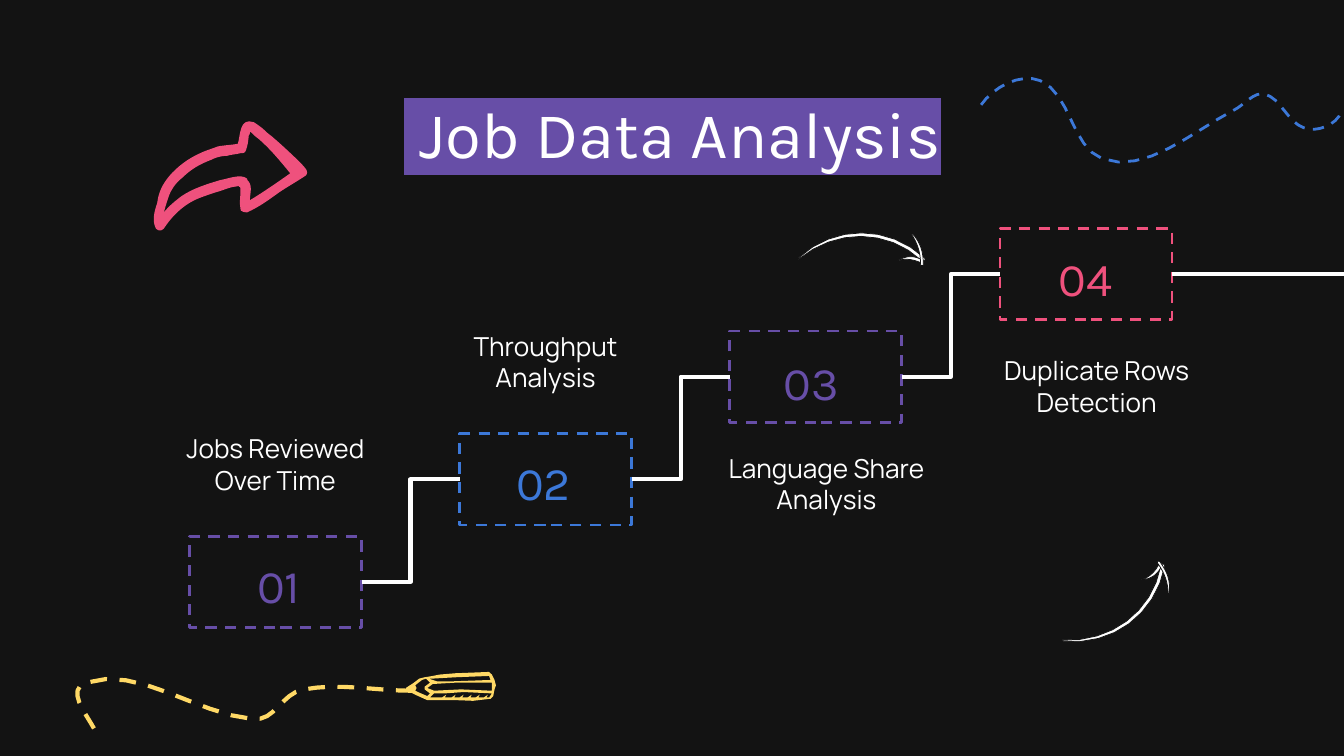
import math

from lxml import etree
from pptx import Presentation, util as u
from pptx.dml.color import RGBColor
from pptx.enum import dml, shapes, text
from pptx.oxml.ns import qn

# Grid: 1000 columns by 562.5 rows of equal size; boxes are (column, row, columns, rows).
COLUMNS, ROWS = 1000, 562.5
CELL = u.Inches(10) // COLUMNS
COLOURS = {"night": "131313", "purple": "674EA7", "blue": "3C78D8",
           "pink": "EF517D", "yellow": "FFD966", "white": "FFFFFF"}

# Curves: a start point, then Bezier triples, in cells from the corner of their box.
SWOOSH = [
    [(83, 9), (80, 6), (77, 4), (74, 2), (63, -2), (64, 12), (62, 18),
     (57, 19), (52, 19), (47, 20), (42, 22), (38, 23), (34, 25),
     (25, 29), (17, 35), (11, 42), (6, 48), (3, 54), (2, 62),
     (0, 68), (-2, 75), (1, 81), (3, 83), (5, 83), (7, 81),
     (11, 75), (16, 69), (23, 64), (30, 59), (37, 57), (46, 54),
     (50, 53), (54, 51), (59, 50), (61, 50), (63, 49), (63, 50),
     (64, 50), (64, 51), (64, 53), (64, 57), (63, 62), (64, 66),
     (64, 67), (64, 68), (65, 68), (66, 69), (68, 69), (69, 69),
     (78, 65), (86, 59), (93, 54), (99, 50), (106, 46), (112, 42),
     (114, 41), (114, 38), (112, 36), (111, 34), (95, 19), (89, 14),
     (87, 12), (85, 11), (83, 9)],
    [(77, 14), (86, 21), (101, 40), (101, 40), (91, 47), (81, 54), (71, 60),
     (71, 55), (73, 50), (70, 46), (69, 45), (69, 45), (69, 44),
     (64, 40), (55, 44), (49, 45), (39, 48), (29, 51), (20, 57),
     (15, 61), (11, 64), (7, 69), (8, 65), (9, 62), (10, 59),
     (12, 52), (16, 47), (21, 43), (27, 37), (34, 33), (42, 30),
     (46, 28), (50, 27), (54, 27), (57, 26), (60, 26), (64, 25),
     (66, 25), (67, 25), (68, 23), (69, 20), (70, 16), (70, 12),
     (71, 11), (71, 10), (71, 9), (73, 10), (74, 12), (77, 14)]]
BLUE_WAVE = [(0, 20), (9, 7), (29, -4), (44, 2), (67, 12), (67, 51), (90, 60),
             (122, 72), (157, 40), (188, 24), (196, 20), (203, 10), (211, 12),
             (223, 15), (228, 33), (240, 37), (249, 41), (265, 35), (268, 25)]
PENCIL_TRAIL = [(12, 34), (6, 23), (-9, 5), (6, 0), (45, -13), (87, 23), (130, 27),
                (147, 29), (151, 8), (168, 5), (194, 0), (222, 6), (249, 6)]
THIN_ARROW = [
    [(0, 0), (27, -25), (67, -25), (94, 0), (95, 2), (93, 3), (92, 2),
     (66, -22), (28, -22), (0, 1)],
    [(74, 2), (80, -2), (87, -2), (93, 2), (94, 3), (93, 4), (92, 4),
     (86, 1), (80, 0), (74, 2)],
    [(91, 5), (91, -5), (88, -12), (84, -18), (84, -18), (85, -19), (85, -18),
     (91, -11), (93, -5), (93, 5), (93, 6), (91, 6), (91, 5)]]

# Pencil outlines are plain polygons: the silhouette, then the gaps inside it.
SHADING = [point for x in (57, 51, 45, 39, 33, 26)
           for point in ((x + 3, 19), (x + 4, 17), (x + 1, 19))]
PENCIL = [
    [(0, 12), (6, 8), (10, 5), (14, 4), (20, 3), (25, 2), (37, 1), (62, 0), (64, 2),
     (66, 6), (67, 10), (66, 13), (65, 18), (63, 20), (50, 21.5), (37, 21), (16, 21),
     (7, 17), (3, 15), (0, 13)],
    [(7, 10), (8, 12), (7, 14), (9, 15), (16, 18), (18, 16), (14, 13), (14, 11),
     (18, 8), (15, 5), (12, 6)],
    [(17, 5), (23, 7), (35, 7), (63, 6), (62, 3), (37, 4), (20, 5)],
    [(16, 12), (21, 14), (41, 13), (64, 14), (64, 8), (37, 8), (20, 9)],
    [(18, 19), (21, 16), (29, 16), (43, 15), (64, 16), (62, 19)] + SHADING]

# Number, caption, colour, then offsets of number and caption from the step's box.
STEPS = [
    ("01", "Jobs Reviewed Over Time", "purple", (23, 5), (-28, -87)),
    ("02", "Throughput Analysis", "blue", (19, 5), (-28, -87)),
    ("03", "Language Share Analysis", "purple", (17, 7), (-20, 80)),
    ("04", "Duplicate Rows Detection", "pink", (20, 6), (-20, 84))]


def colour(name):
    return RGBColor.from_string(COLOURS[name])


def cells(*counts):
    return [u.Emu(round(count * CELL)) for count in counts]


def set_line(line, name, points, dashed=False):
    line.color.rgb, line.width = colour(name), u.Pt(points)
    if dashed:
        line.dash_style = dml.MSO_LINE.DASH


def bezier(points, parts=8):
    """Sample a chain of cubic Bezier segments."""
    curve = [points[0]]
    for i in range(0, len(points) - 1, 3):
        for t in (n / parts for n in range(1, parts + 1)):
            weights = ((1 - t) ** 3, 3 * t * (1 - t) ** 2, 3 * t * t * (1 - t), t ** 3)
            curve.append(tuple(sum(w * p[axis] for w, p in zip(weights, points[i:i + 4]))
                               for axis in (0, 1)))
    return curve


def add_outline(slide, box, contours, fill=None):
    """Draw contours from the box's corner, closed when they are filled."""
    placed = [[cells(box[0] + x, box[1] + y) for x, y in contour] for contour in contours]
    builder = slide.shapes.build_freeform(*placed[0][0], scale=1.0)
    for i, contour in enumerate(placed):
        if i:
            builder.move_to(*contour[0])
        builder.add_line_segments(contour[1:], close=fill is not None)
    drawing = builder.convert_to_shape()
    drawing.shadow.inherit = False
    if fill:
        drawing.fill.solid()
        drawing.fill.fore_color.rgb = colour(fill)
    else:
        drawing.fill.background()
    drawing.line.fill.background()
    return drawing


def add_text(slide, box, words, size, font, name):
    frame = slide.shapes.add_textbox(*cells(*box)).text_frame
    frame.word_wrap = True
    frame.margin_left = frame.margin_right = frame.margin_top = frame.margin_bottom = u.Inches(0.1)
    line = frame.paragraphs[0]
    line.alignment = text.PP_ALIGN.CENTER
    line.font.size, line.font.name = u.Pt(size), font
    line.font.color.rgb = colour(name)
    run = line.add_run()
    run.text = words
    return run


def add_title(slide, box):
    heading = add_text(slide, box, " Job Data Analysis", 35, "Karla", "white")
    highlight = etree.SubElement(heading.font._element, qn("a:highlight"))
    etree.SubElement(highlight, qn("a:srgbClr"), val=COLOURS["purple"])


def add_step(slide, box, number, caption, name, number_offset, caption_offset):
    left, top, width, height = box
    frame = slide.shapes.add_shape(shapes.MSO_SHAPE.RECTANGLE, *cells(*box))
    frame.shadow.inherit = False
    frame.fill.background()
    set_line(frame.line, name, 1.5, dashed=True)
    add_text(slide, (left + number_offset[0], top + number_offset[1], 87, 50),
             number, 25, "Karla", name)
    caption_height = height if caption_offset[1] < 0 else 95
    add_text(slide, (left + caption_offset[0], top + caption_offset[1], 184, caption_height),
             caption, 14, "Manrope", "white")
    return frame


def add_link(slide, kind, start, end=None):
    """Link a step's right side to the next step, or to the slide's edge."""
    middle = start.top + start.height // 2
    link = slide.shapes.add_connector(kind, start.left + start.width, middle,
                                      COLUMNS * CELL, middle)
    link.begin_connect(start, 3)
    if end:
        link.end_connect(end, 1)
    set_line(link.line, "white", 2.25)
    etree.SubElement(link._element.spPr, qn("a:effectLst"))


def add_staircase(slide, box):
    """Climb from the box's bottom left to its top right."""
    left, top, width, height = box
    step_width, step_height = 128, 68
    run = (width - step_width) / (len(STEPS) - 1)
    rise = (height - step_height) / (len(STEPS) - 1)
    frames = [add_step(slide, (left + run * i, top + height - step_height - rise * i,
                               step_width, step_height), *step)
              for i, step in enumerate(STEPS)]
    for lower, upper in zip(frames, frames[1:]):
        add_link(slide, shapes.MSO_CONNECTOR.ELBOW, lower, upper)
    add_link(slide, shapes.MSO_CONNECTOR.STRAIGHT, frames[-1])


def add_wave(slide, box, points, name, weight):
    set_line(add_outline(slide, box, [bezier(points)]).line, name, weight, dashed=True)


def add_thin_arrow(slide, box, degrees=0, mirror=1):
    cos, sin = math.cos(math.radians(degrees)), math.sin(math.radians(degrees))
    for stroke in THIN_ARROW:
        turned = [(x * cos - mirror * y * sin, x * sin + mirror * y * cos)
                  for x, y in bezier(stroke)]
        set_line(add_outline(slide, box, [turned], "white").line, "night", 0.4)


def main():
    deck = Presentation()
    deck.slide_width, deck.slide_height = cells(COLUMNS, ROWS)
    slide = deck.slides.add_slide(deck.slide_layouts[6])
    slide.background.fill.solid()
    slide.background.fill.fore_color.rgb = colour("night")
    add_staircase(slide, (141, 170, 731, 297))
    add_outline(slide, (115, 89), [bezier(contour) for contour in SWOOSH], "pink")
    add_wave(slide, (730, 58), BLUE_WAVE, "blue", 1.5)
    add_wave(slide, (58, 508), PENCIL_TRAIL, "yellow", 2.25)
    add_outline(slide, (302, 500), PENCIL, "yellow")
    add_thin_arrow(slide, (791, 477), -36.4, mirror=-1)
    add_thin_arrow(slide, (594, 192))
    add_title(slide, (79, 59, 843, 63))
    deck.save("out.pptx")


if __name__ == "__main__":
    main()
